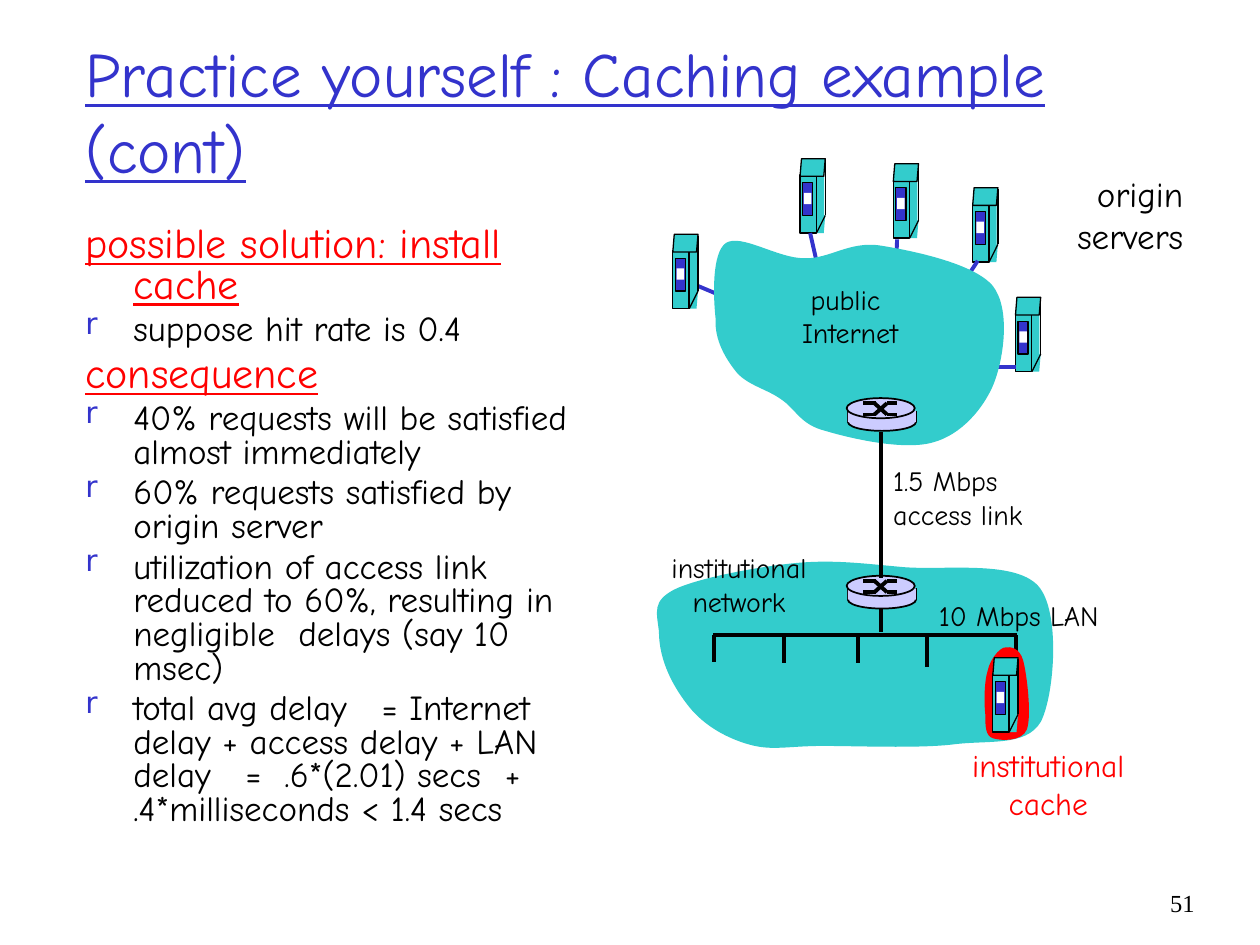
from lxml import etree
from pptx import Presentation
from pptx.dml.color import RGBColor
from pptx.enum import shapes as kinds, text as styles
from pptx.oxml import ns
from pptx.util import Inches, Pt

FONT = "Comic Neue"
BLACK, WHITE, RED, BLUE = "000000", "FFFFFF", "FF0000", "3333CC"
TEAL, LILAC = "33CCCC", "CCCCFF"
ALIGN = {"l": styles.PP_ALIGN.LEFT, "c": styles.PP_ALIGN.CENTER, "r": styles.PP_ALIGN.RIGHT}
RECT = kinds.MSO_SHAPE.RECTANGLE
OVAL = kinds.MSO_SHAPE.OVAL
SLANT = kinds.MSO_SHAPE.PARALLELOGRAM

TITLE = "Practice yourself : Caching example (cont)"
# kind, text, tab stops
BODY = [
    ("head", "possible solution: install cache", []),
    ("item", "suppose hit rate is 0.4", []),
    ("head", "consequence", []),
    ("item", "40% requests will be satisfied almost immediately", []),
    ("item", "60% requests satisfied by origin server", []),
    ("item", "utilization of access link reduced to 60%, resulting in "
             "negligible\tdelays (say 10 msec)", [1.69]),
    ("item", "total avg delay\t= Internet delay + access delay + LAN delay\t=\t"
             ".6*(2.01) secs\t+ .4*milliseconds < 1.4 secs", [1.27, 1.58, 2.35, 3.33]),
]
# box, lines, size, colour, alignment
ORIGIN = ((8.31, 1.32, 1.18, 0.77), ["origin", "servers"], 20, BLACK, "r")
PUBLIC = ((6.12, 2.19, 1.18, 0.64), ["public", " Internet"], 16, BLACK, "c")
LABELS = [
    ((5.14, 4.32, 1.45, 0.64), ["institutional", "network"], 16, BLACK, "c"),
    ((7.29, 4.7, 1.59, 0.37), ["10 Mbps LAN"], 16, BLACK, "c"),
    ((6.99, 3.63, 1.31, 0.64), ["1.5 Mbps", "access link"], 16, BLACK, "l"),
    ((7.52, 5.87, 1.6, 0.7), ["institutional", "cache"], 18, RED, "c"),
]
SERVERS = [(5.34, 1.86), (6.35, 1.26), (7.09, 1.3), (7.72, 1.49), (8.06, 2.36)]
CACHE = (7.88, 5.22)
UPLINKS = [(6.43, 1.85, 6.5, 2.16), (7.12, 1.9, 7.11, 2.16),
           (7.76, 2.07, 7.61, 2.3), (8.06, 2.91, 7.79, 2.91)]
ACCESS = [(6.99, 3.43, 6.99, 4.59), (6.99, 4.83, 6.99, 5.02)]
BUS = (5.66, 5.04, 8.07, 5.04)
DROPS = [(5.67, 5.25), (6.22, 5.26), (6.81, 5.26), (7.36, 5.29), (8.06, 5.28)]

# Closed outlines: start point, then cubic curves (two handles and an end)
NET = [(5.68, 2.53), (5.66, 2.35, 5.65, 2.01, 5.76, 1.93), (5.88, 1.85, 6.17, 2.05, 6.38, 2.05),
       (6.58, 2.06, 6.74, 1.91, 6.99, 1.95), (7.24, 1.99, 7.73, 2.09, 7.88, 2.27),
       (8.02, 2.45, 7.97, 2.83, 7.89, 3.04), (7.81, 3.24, 7.63, 3.45, 7.41, 3.51),
       (7.18, 3.58, 6.75, 3.48, 6.55, 3.42), (6.35, 3.37, 6.32, 3.25, 6.2, 3.17),
       (6.09, 3.09, 5.94, 3.06, 5.85, 2.96), (5.76, 2.85, 5.67, 2.7, 5.68, 2.53)]
CAMPUS = [(5.23, 5.01), (5.21, 4.85, 5.18, 4.77, 5.35, 4.68), (5.53, 4.59, 6, 4.5, 6.3, 4.47),
          (6.6, 4.44, 6.83, 4.47, 7.16, 4.5), (7.48, 4.53, 8.05, 4.44, 8.24, 4.65),
          (8.42, 4.85, 8.37, 5.52, 8.26, 5.73), (8.14, 5.93, 7.84, 5.87, 7.55, 5.91),
          (7.27, 5.94, 6.8, 5.92, 6.53, 5.92), (6.26, 5.92, 6.13, 5.96, 5.95, 5.91),
          (5.77, 5.86, 5.59, 5.76, 5.47, 5.61), (5.35, 5.46, 5.23, 5.25, 5.23, 5.01)]
HALO = [(7.84, 5.32), (7.86, 5.23, 7.93, 5.15, 7.97, 5.14), (8.02, 5.13, 8.09, 5.14, 8.12, 5.24),
        (8.15, 5.35, 8.19, 5.68, 8.15, 5.79), (8.11, 5.89, 7.94, 5.88, 7.88, 5.86),
        (7.82, 5.84, 7.82, 5.76, 7.82, 5.67), (7.81, 5.58, 7.81, 5.41, 7.84, 5.32)]


def paint(code):
    return RGBColor.from_string(code)


def add(parent, tag, **attrs):
    return etree.SubElement(parent, ns.qn("a:" + tag), **attrs)


def line(tree, ends, color, width):
    link = tree.add_connector(kinds.MSO_CONNECTOR.STRAIGHT, *map(Inches, ends))
    link.line.color.rgb = paint(color)
    link.line.width = Pt(width)
    add(link._element.spPr, "effectLst")


def finish(shape, fill, width=0):
    shape.shadow.inherit = False
    shape.fill.solid()
    shape.fill.fore_color.rgb = paint(fill)
    if width:
        shape.line.color.rgb = paint(BLACK)
        shape.line.width = Pt(width)
    else:
        shape.line.fill.background()


def solid(tree, kind, box, fill, width=0):
    shape = tree.add_shape(kind, *map(Inches, box))
    if kind == SLANT:
        shape.adjustments[0] = 0.083
    finish(shape, fill, width)


def blob(tree, curves, fill):
    """Lay out a freeform on its bounds, then give it true cubic curves."""
    xs = [Inches(v) for curve in curves for v in curve[::2]]
    ys = [Inches(v) for curve in curves for v in curve[1::2]]
    x, y, right, low = min(xs), min(ys), max(xs), max(ys)
    pen = tree.build_freeform(x, y)
    pen.add_line_segments([(right, y), (right, low), (x, low)], close=True)
    shape = pen.convert_to_shape()
    route = shape._element.spPr.find(".//" + ns.qn("a:path"))
    for step in list(route):
        route.remove(step)
    for n, curve in enumerate(curves):
        step = add(route, "cubicBezTo" if n else "moveTo")
        for a, b in zip(curve[::2], curve[1::2]):
            add(step, "pt", x=str(Inches(a) - x), y=str(Inches(b) - y))
    add(route, "close")
    finish(shape, fill)


def server(tree, x, y):
    for kind, dx, dy, w, h, fill, width in [
        (SLANT, 0, 0.45, 0.2, 0.14, TEAL, 0),
        (RECT, 0.1, 0, 0.09, 0.46, TEAL, 0),
        (RECT, 0, 0.13, 0.13, 0.46, TEAL, 0.75),
        (SLANT, 0, 0, 0.2, 0.14, TEAL, 0.75),
    ]:
        solid(tree, kind, (x + dx, y + dy, w, h), fill, width)
    line(tree, (x + 0.2, y + 0.01, x + 0.2, y + 0.45), BLACK, 0.75)
    line(tree, (x + 0.2, y + 0.45, x + 0.13, y + 0.59), BLACK, 0.75)
    solid(tree, RECT, (x + 0.02, y + 0.19, 0.08, 0.26), BLUE, 0.75)
    solid(tree, RECT, (x + 0.03, y + 0.27, 0.06, 0.09), WHITE)


def router(tree, x, y):
    solid(tree, OVAL, (x + 0.01, y + 0.12, 0.54, 0.14), LILAC, 1)
    for dx in (0.01, 0.55):
        line(tree, (x + dx, y + 0.1, x + dx, y + 0.19), BLACK, 1)
    solid(tree, RECT, (x + 0.01, y + 0.1, 0.54, 0.09), LILAC)
    solid(tree, OVAL, (x, y, 0.54, 0.16), LILAC, 1)
    for top, low in ((0.04, 0.13), (0.13, 0.04)):
        for a, b, c, d in [(0.13, top, 0.23, top), (0.32, low, 0.4, low),
                           (0.22, top, 0.32, low)]:
            line(tree, (x + a, y + b, x + c, y + d), BLACK, 2.25)


def frame(tree, box):
    area = tree.add_textbox(*map(Inches, box)).text_frame
    area.word_wrap = True
    return area


def write(para, words, size, color, under=False, font=FONT):
    run = para.add_run()
    run.text = words
    run.font.size, run.font.name, run.font.underline = Pt(size), font, under
    run.font.color.rgb = paint(color)


def label(tree, box, rows, size, color, align, font=FONT):
    area = frame(tree, box)
    for n, row in enumerate(rows):
        para = area.add_paragraph() if n else area.paragraphs[0]
        para.alignment = ALIGN[align]
        write(para, row, size, color, font=font)


def body(tree, box):
    area = frame(tree, box)
    for n, (kind, words, stops) in enumerate(BODY):
        para = area.add_paragraph() if n else area.paragraphs[0]
        head = kind == "head"
        props = para._p.get_or_add_pPr()
        props.set("marL", str(Inches(0.38)))
        props.set("indent", str(-Inches(0.38)))
        if not head:
            add(add(props, "buClr"), "srgbClr", val=BLUE)
            add(props, "buSzPct", val="85000")
            add(props, "buChar", char="r")
        if stops:
            tabs = add(props, "tabLst")
            for stop in stops:
                add(tabs, "tab", pos=str(Inches(stop)), algn="l")
        para.line_spacing = 0.8
        if n:
            para.space_before = Pt(4.8 if head else 4)
        write(para, words, 24 if head else 20, RED if head else BLACK, head)


def main():
    deck = Presentation()
    deck.slide_width, deck.slide_height = Inches(10), Inches(7.5)
    tree = deck.slides.add_slide(deck.slide_layouts[6]).shapes

    label(tree, (9.08, 7, 0.5, 0.5), ["51"], 14, BLACK, "r", "Times New Roman")
    line(tree, (5.54, 2.27, 5.85, 2.4), BLUE, 2.25)
    title = frame(tree, (0.58, 0.25, 8.5, 1.25))
    title.vertical_anchor = styles.MSO_ANCHOR.MIDDLE
    write(title.paragraphs[0], TITLE, 36, BLUE, True)
    body(tree, (0.58, 1.75, 4.33, 5.08))

    for spot in SERVERS:
        server(tree.add_group_shape().shapes, *spot)
    label(tree, *ORIGIN)
    for ends in UPLINKS:
        line(tree, ends, BLUE, 2.25)
    blob(tree, NET, TEAL)
    router(tree.add_group_shape().shapes, 6.72, 3.16)
    label(tree, *PUBLIC)

    blob(tree, CAMPUS, TEAL)
    line(tree, BUS, BLACK, 2.25)
    for x, end in DROPS:
        line(tree, (x, BUS[1], x, end), BLACK, 2.25)
    cache = tree.add_group_shape().shapes
    blob(cache, HALO, RED)
    server(cache, *CACHE)
    router(tree.add_group_shape().shapes, 6.72, 4.57)
    for ends in ACCESS:
        line(tree, ends, BLACK, 2.25)
    for item in LABELS:
        label(tree, *item)
    deck.save("out.pptx")


if __name__ == "__main__":
    main()
